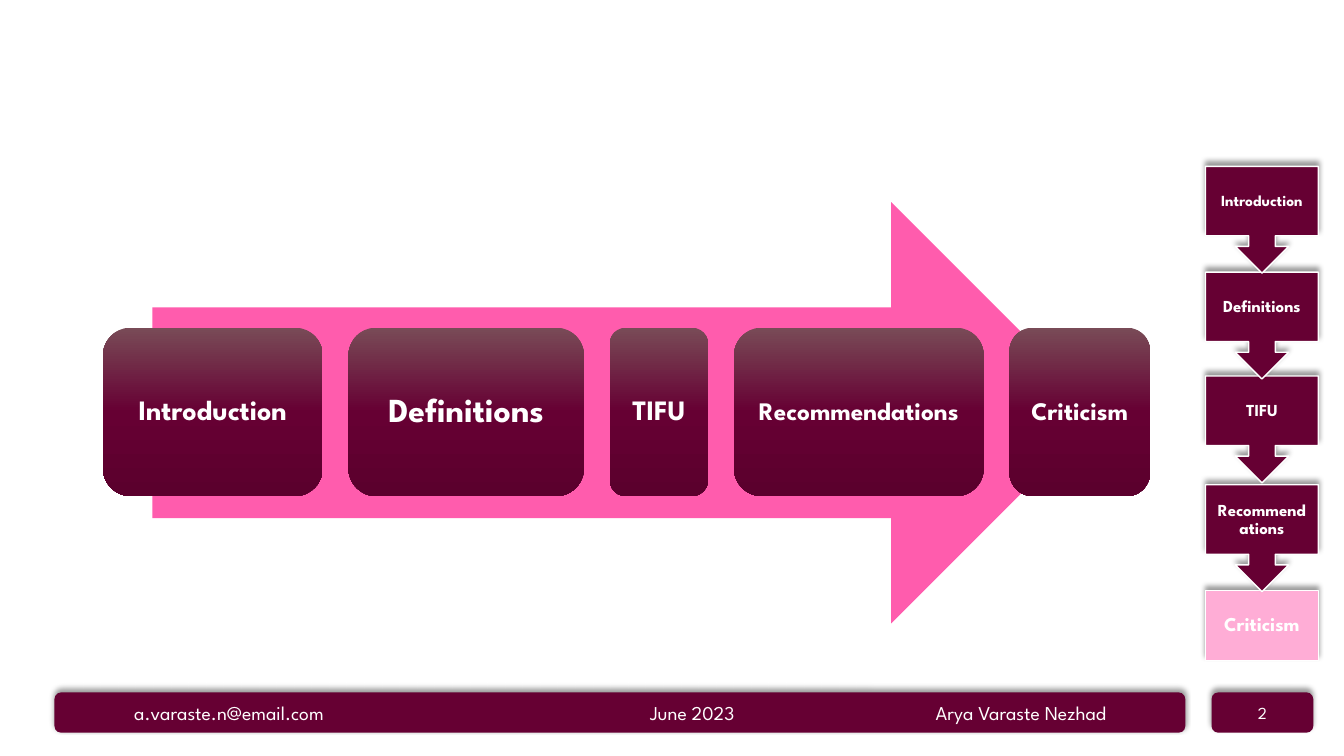
from dataclasses import dataclass

from lxml import etree
from pptx import Presentation
from pptx.dml.color import RGBColor
from pptx.enum.shapes import MSO_SHAPE
from pptx.enum.text import MSO_ANCHOR, PP_ALIGN
from pptx.oxml.ns import qn
from pptx.util import Pt

ROUNDED = MSO_SHAPE.ROUNDED_RECTANGLE
RECT = MSO_SHAPE.RECTANGLE
CALLOUT = MSO_SHAPE.UP_ARROW_CALLOUT
RIGHT_ARROW = MSO_SHAPE.RIGHT_ARROW
CENTER, LEFT = PP_ALIGN.CENTER, PP_ALIGN.LEFT
MIDDLE = MSO_ANCHOR.MIDDLE

FONT = "League Spartan"
WHITE, WINE, PINK, PALE_PINK = "FFFFFF", "660033", "FF5CAD", "FFADD6"
STEP_GRADIENT = [(0, "794B57"), (50, WINE), (100, "5B002D")]


@dataclass
class Step:
    text: str
    width: float
    size: float
    inset: float


@dataclass
class NavItem:
    text: str
    top: float
    size: float
    inset: float = 6.5
    current: bool = False


STEPS = [
    Step("Introduction", 157, 20, 6),
    Step("Definitions", 168.2, 24, 7.2),
    Step("TIFU", 70.4, 20, 6),
    Step("Recommendations", 178.4, 18, 5),
    Step("Criticism", 100.4, 18, 5),
]
STEP_LEFT, STEP_TOP, STEP_HEIGHT, STEP_GAP = 73.5, 234, 120.4, 18.4

NAV = [
    NavItem("Introduction", 118.8, 11),
    NavItem("Definitions", 194.4, 12),
    NavItem("TIFU", 268.6, 12),
    NavItem("Recommendations", 346.3, 12),
    NavItem("Criticism", 421.9, 14, 8, current=True),
]
NAV_LEFT, NAV_WIDTH, NAV_BOX_HEIGHT, NAV_CALLOUT_HEIGHT = 861.1, 80.6, 49.7, 76.3

FOOTER_TOP, FOOTER_HEIGHT = 494.6, 28.8
FOOTER_TABS = [48.5, 417, 621]


def rgb(value: str) -> RGBColor:
    return RGBColor.from_string(value)


def add_shape(slide, kind, left: float, top: float, width: float, height: float,
              fill: str, line: str | None = None):
    sp = slide.shapes.add_shape(kind, Pt(left), Pt(top), Pt(width), Pt(height))
    sp.shadow.inherit = False
    sp.fill.solid()
    sp.fill.fore_color.rgb = rgb(fill)
    if line:
        sp.line.color.rgb = rgb(line)
        sp.line.width = Pt(1)
    else:
        sp.line.fill.background()
    return sp


def add_upward_shadow(sp) -> None:
    effects = sp._element.spPr.find(qn("a:effectLst"))
    shadow = etree.SubElement(effects, qn("a:outerShdw"), blurRad=str(Pt(4)),
                              dist=str(Pt(3)), dir="16200000", rotWithShape="0")
    color = etree.SubElement(shadow, qn("a:srgbClr"), val="000000")
    etree.SubElement(color, qn("a:alpha"), val="40000")


def set_gradient(sp, stops: list[tuple[int, str]]) -> None:
    """Fill from top to bottom with stops given as (percent, colour)."""
    sp.fill.gradient()
    sp.fill.gradient_angle = 270
    stop_list = sp._element.spPr.find(qn("a:gradFill")).find(qn("a:gsLst"))
    for old in list(stop_list):
        stop_list.remove(old)
    for percent, color in stops:
        stop = etree.SubElement(stop_list, qn("a:gs"), pos=str(percent * 1000))
        etree.SubElement(stop, qn("a:srgbClr"), val=color)


def write(sp, text: str, *, size: float, bold: bool = False, align=CENTER,
          inset: float | None = None, spacing: float | None = None,
          tabs: list[float] | None = None) -> None:
    tf = sp.text_frame
    tf.word_wrap = True
    tf.vertical_anchor = MIDDLE
    if inset is not None:
        tf.margin_left = tf.margin_right = Pt(inset)
        tf.margin_top = tf.margin_bottom = Pt(inset)
    p = tf.paragraphs[0]
    p.alignment = align
    if spacing is not None:
        p.line_spacing = spacing
    if tabs:
        tab_list = etree.SubElement(p._p.get_or_add_pPr(), qn("a:tabLst"))
        for position in tabs:
            etree.SubElement(tab_list, qn("a:tab"), pos=str(Pt(position)), algn="l")
    r = p.add_run()
    r.text = text
    r.font.name = FONT
    r.font.size = Pt(size)
    r.font.bold = bold
    r.font.color.rgb = rgb(WHITE)


def add_footer(slide) -> None:
    number = add_shape(slide, ROUNDED, 865.4, FOOTER_TOP, 72.7, FOOTER_HEIGHT, WINE)
    add_upward_shadow(number)
    write(number, "2", size=12)
    bar = add_shape(slide, ROUNDED, 38.9, FOOTER_TOP, 807.8, FOOTER_HEIGHT, WINE)
    add_upward_shadow(bar)
    write(bar, "\ta.varaste.n@email.com\tJune 2023\tArya Varaste Nezhad",
          size=14, align=LEFT, tabs=FOOTER_TABS)


def add_process(slide) -> None:
    add_shape(slide, RIGHT_ARROW, 108.9, 144.3, 678.2, 301, PINK)
    left = STEP_LEFT
    for step in STEPS:
        sp = add_shape(slide, ROUNDED, left, STEP_TOP, step.width, STEP_HEIGHT, WINE)
        set_gradient(sp, STEP_GRADIENT)
        write(sp, step.text, size=step.size, bold=True, inset=step.inset, spacing=0.9)
        left += step.width + STEP_GAP


def add_nav_item(slide, item: NavItem) -> None:
    """Draw a sidebar box; all but the current one point down to the next."""
    if item.current:
        label = add_shape(slide, RECT, NAV_LEFT, item.top, NAV_WIDTH,
                          NAV_BOX_HEIGHT, PALE_PINK, WHITE)
        add_upward_shadow(label)
    else:
        callout = add_shape(slide, CALLOUT, NAV_LEFT, item.top, NAV_WIDTH,
                            NAV_CALLOUT_HEIGHT, WINE, WHITE)
        callout.rotation = 180
        add_upward_shadow(callout)
        label = slide.shapes.add_textbox(Pt(NAV_LEFT), Pt(item.top),
                                         Pt(NAV_WIDTH), Pt(NAV_BOX_HEIGHT))
    write(label, item.text, size=item.size, bold=True, inset=item.inset, spacing=0.9)


def main() -> None:
    prs = Presentation()
    prs.slide_width, prs.slide_height = Pt(960), Pt(540)
    slide = prs.slides.add_slide(prs.slide_layouts[6])
    add_footer(slide)
    add_process(slide)
    for item in reversed(NAV):
        add_nav_item(slide, item)
    prs.save("out.pptx")


if __name__ == "__main__":
    main()
